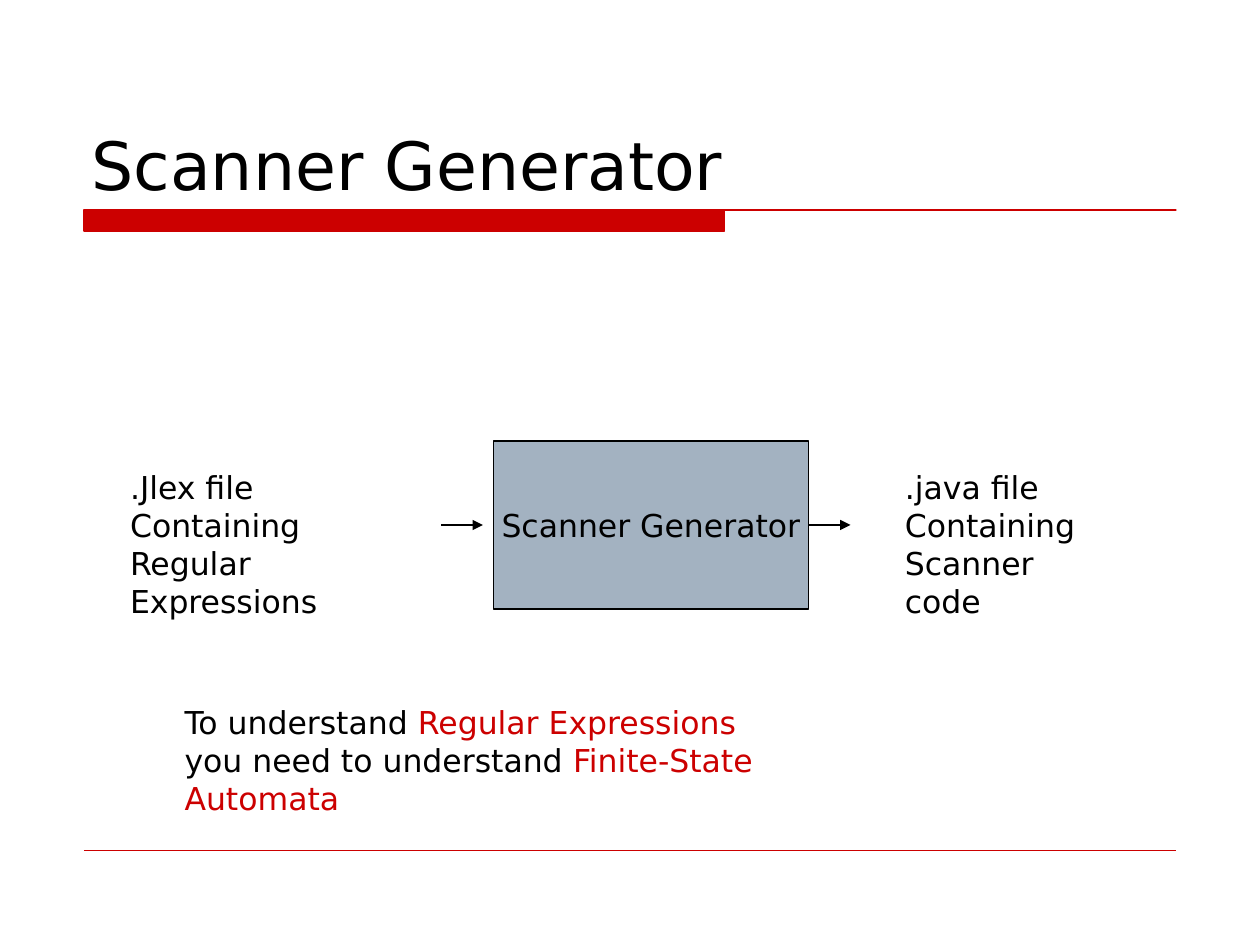
from lxml import etree
from pptx import Presentation, util as u
from pptx.dml.color import RGBColor
from pptx.enum import shapes, text
from pptx.oxml.ns import qn

BLACK, RED, STEEL = "000000", "CC0000", "A3B2C1"


def colour(hex_value):
    """Turn a hex string into a colour."""
    return RGBColor.from_string(hex_value)


class ScannerSlide:
    """Draw elements on a slide with a grid of 120 columns and 90 rows."""

    font = "DejaVu Sans"
    body_size = 18

    def __init__(self, deck):
        """Add a title-only slide to the deck."""
        self.cell = deck.slide_width / 120
        self.slide = deck.slides.add_slide(deck.slide_layouts[5])
        self.shapes = self.slide.shapes

    def grid(self, *units):
        """Turn grid units into lengths."""
        return [u.Emu(round(unit * self.cell)) for unit in units]

    def set_text(self, frame, paragraphs, size=body_size, align=text.PP_ALIGN.LEFT, **layout):
        """Fill a frame with paragraphs made of (wording, colour) runs."""
        margins = dict(margin_left=u.Inches(0.1), margin_right=u.Inches(0.1),
                       margin_top=u.Inches(0.05), margin_bottom=u.Inches(0.05))
        for name, value in {**margins, "word_wrap": True, **layout}.items():
            setattr(frame, name, value)
        for index, runs in enumerate(paragraphs):
            paragraph = frame.add_paragraph() if index else frame.paragraphs[0]
            paragraph.alignment = align
            for wording, tint in runs:
                run = paragraph.add_run()
                run.text = wording
                for name, value in {"name": self.font, "size": u.Pt(size)}.items():
                    setattr(run.font, name, value)
                run.font.color.rgb = colour(tint)

    def paint(self, shape, fill, line):
        """Give a shape a flat fill and a thin outline."""
        shape.shadow.inherit = False
        shape.fill.solid()
        shape.fill.fore_color.rgb = colour(fill)
        shape.line.color.rgb = colour(line)
        shape.line.width = u.Pt(0.75)

    def title(self, wording, *box):
        """Place and fill the title."""
        heading = self.shapes.title
        for name, value in zip(("left", "top", "width", "height"), self.grid(*box)):
            setattr(heading, name, value)
        self.set_text(heading.text_frame, [[(wording, BLACK)]], 38,
                      vertical_anchor=text.MSO_ANCHOR.BOTTOM,
                      auto_size=text.MSO_AUTO_SIZE.NONE)

    def banner(self, *corners):
        """Draw the bar under the title with its thin extension."""
        builder = self.shapes.build_freeform(*corners[0], scale=self.cell)
        builder.add_line_segments(corners[1:], close=True)
        self.paint(builder.convert_to_shape(), RED, RED)

    def line(self, start, end, row, tint=BLACK, width=0.75, arrow=True):
        """Draw a horizontal line, with an arrowhead if wanted."""
        left, right, y = self.grid(start, end, row)
        link = self.shapes.add_connector(shapes.MSO_CONNECTOR.STRAIGHT, left, y, right, y)
        link.line.color.rgb = colour(tint)
        link.line.width = u.Pt(width)
        properties = link.element.spPr
        if arrow:
            etree.SubElement(properties.find(qn("a:ln")), qn("a:tailEnd"), type="triangle")
        etree.SubElement(properties, qn("a:effectLst"))

    def box(self, wording, *place):
        """Draw a process box with a centred label."""
        process = self.shapes.add_shape(shapes.MSO_SHAPE.RECTANGLE, *self.grid(*place))
        self.paint(process, STEEL, BLACK)
        self.set_text(process.text_frame, [[(wording, BLACK)]], align=text.PP_ALIGN.CENTER,
                      word_wrap=False, vertical_anchor=text.MSO_ANCHOR.MIDDLE)

    def note(self, paragraphs, *place):
        """Add a text box."""
        self.set_text(self.shapes.add_textbox(*self.grid(*place)).text_frame, paragraphs)


def main():
    """Build and save the slide."""
    deck = Presentation()
    deck.slide_width, deck.slide_height = u.Inches(10), u.Inches(7.5)
    page = ScannerSlide(deck)
    page.banner((112.5, 20.5), (8, 20.5), (8, 22), (69, 22), (69, 20.5))
    page.line(8, 112, 81, RED, 0.25, arrow=False)
    page.title("Scanner Generator", 7.5, 4, 105, 16)
    page.box("Scanner Generator", 47, 42, 30, 16)
    for start in (42, 77):
        page.line(start, start + 4, 50)
    files = ((11.2, 30.8, (".Jlex file", "Containing", "Regular Expressions")),
             (85, 21.4, (".java file", "Containing", "Scanner code")))
    for left, width, lines in files:
        page.note([[(wording, BLACK)] for wording in lines], left, 44, width, 12)
    page.note([[("To understand ", BLACK), ("Regular Expressions", RED)],
               [("you need to understand ", BLACK), ("Finite-State Automata", RED)]],
              16.4, 66.4, 67.7, 8.4)
    deck.save("out.pptx")


if __name__ == "__main__":
    main()
